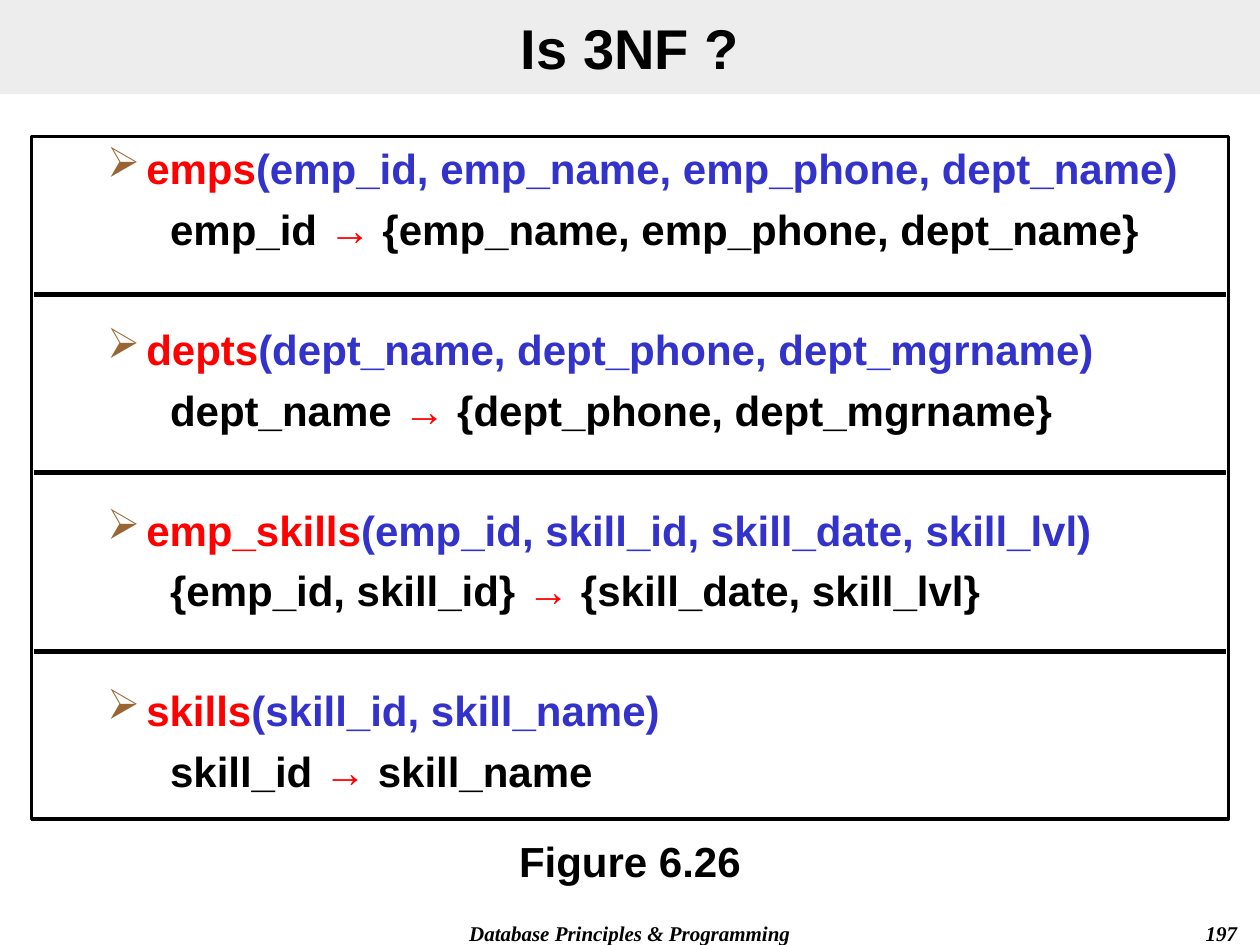
from lxml import etree
from pptx import Presentation
from pptx.dml.color import RGBColor
from pptx.enum.shapes import MSO_CONNECTOR, MSO_SHAPE
from pptx.enum.text import MSO_ANCHOR, PP_ALIGN
from pptx.oxml.ns import qn
from pptx.util import Cm, Pt

LEFT, CENTER, RIGHT = PP_ALIGN.LEFT, PP_ALIGN.CENTER, PP_ALIGN.RIGHT
TOP, MIDDLE = MSO_ANCHOR.TOP, MSO_ANCHOR.MIDDLE
RECTANGLE = MSO_SHAPE.RECTANGLE
STRAIGHT = MSO_CONNECTOR.STRAIGHT
TITLE_ONLY = 5

COLORS = {
    "text": "000000",
    "name": "FF0000",
    "columns": "3333CC",
    "bullet": "996633",
    "band": "DDDDDD",
}

# Relation name, its columns, and both sides of its dependency
RELATIONS = [
    ("emps", "(emp_id, emp_name, emp_phone, dept_name)",
     "emp_id", "{emp_name, emp_phone, dept_name}"),
    ("depts", "(dept_name, dept_phone, dept_mgrname)",
     "dept_name", "{dept_phone, dept_mgrname}"),
    ("emp_skills", "(emp_id, skill_id, skill_date, skill_lvl)",
     "{emp_id, skill_id}", "{skill_date, skill_lvl}"),
    ("skills", "(skill_id, skill_name)",
     "skill_id", "skill_name"),
]


def color(name):
    return RGBColor.from_string(COLORS[name])


def add_span(para, text, *, size=24, font="Arial", fill="text", italic=False):
    span = para.add_run()
    span.text = text
    span.font.size = Pt(size)
    span.font.name = font
    span.font.bold = True
    span.font.italic = italic
    span.font.color.rgb = color(fill)


def set_frame(box, anchor=TOP):
    frame = box.text_frame
    frame.word_wrap = True
    frame.vertical_anchor = anchor
    frame.margin_left = frame.margin_right = Cm(0.25)
    frame.margin_top = frame.margin_bottom = Cm(0.13)
    return frame


def add_label(page, text, left, top, width, height, *, align=CENTER, **style):
    box = page.shapes.add_textbox(Cm(left), Cm(top), Cm(width), Cm(height))
    para = set_frame(box).paragraphs[0]
    para.alignment = align
    add_span(para, text, **style)


def set_indent(para, margin, first, bullet=None):
    properties = para._p.get_or_add_pPr()
    properties.set("marL", str(Cm(margin)))
    properties.set("indent", str(Cm(first)))
    if bullet:
        tint = etree.SubElement(properties, qn("a:buClr"))
        etree.SubElement(tint, qn("a:srgbClr"), val=COLORS["bullet"])
        etree.SubElement(properties, qn("a:buChar"), char=bullet)
    else:
        etree.SubElement(properties, qn("a:buNone"))


def set_title(page, text):
    title = page.shapes.title
    title.left, title.top, title.width, title.height = Cm(0), Cm(0), Cm(25.4), Cm(1.9)
    title.fill.solid()
    title.fill.fore_color.rgb = color("band")
    tint = title.fill._xPr.find(qn("a:solidFill"))[0]
    etree.SubElement(tint, qn("a:alpha"), val="50000")
    para = set_frame(title, MIDDLE).paragraphs[0]
    para.alignment = CENTER
    add_span(para, text, size=32)


def add_relations(page):
    box = page.shapes.add_shape(RECTANGLE, Cm(0.64), Cm(2.75), Cm(24.13), Cm(13.76))
    box.shadow.inherit = False
    box.fill.background()
    box.line.color.rgb = color("text")
    box.line.width = Pt(2)
    frame = set_frame(box)
    for index, (name, columns, key, dependent) in enumerate(RELATIONS):
        # Schema line
        para = frame.add_paragraph() if index else frame.paragraphs[0]
        para.alignment = LEFT
        para.space_before = Pt(39.6 if index else 0)
        set_indent(para, 2.06, -0.79, bullet="➢")
        add_span(para, name, fill="name")
        add_span(para, columns, fill="columns")
        # Dependency line
        para = frame.add_paragraph()
        para.alignment = LEFT
        para.space_before = Pt(6)
        set_indent(para, 3.18, -0.64)
        add_span(para, key + " ")
        add_span(para, "→ ", fill="name")
        add_span(para, dependent)


def add_divider(page, top):
    line = page.shapes.add_connector(STRAIGHT, Cm(0.69), Cm(top), Cm(24.71), Cm(top))
    line.line.color.rgb = color("text")
    line.line.width = Pt(3)
    etree.SubElement(line._element.spPr, qn("a:effectLst"))


def main():
    deck = Presentation()
    deck.slide_width, deck.slide_height = Cm(25.4), Cm(19.05)
    page = deck.slides.add_slide(deck.slide_layouts[TITLE_ONLY])

    set_title(page, "Is 3NF ?")
    add_relations(page)
    for index in range(len(RELATIONS) - 1):
        add_divider(page, 5.93 + 3.6 * index)
    add_label(page, "Figure 6.26", 0.85, 16.72, 23.7, 1.27)

    # Footer
    footer = {"size": 12, "font": "Times New Roman", "italic": True}
    add_label(page, "Database Principles & Programming", 7.2, 18.42, 11, 0.63, **footer)
    add_label(page, "197", 19.9, 18.42, 5.29, 0.63, align=RIGHT, **footer)

    deck.save("out.pptx")


if __name__ == "__main__":
    main()
